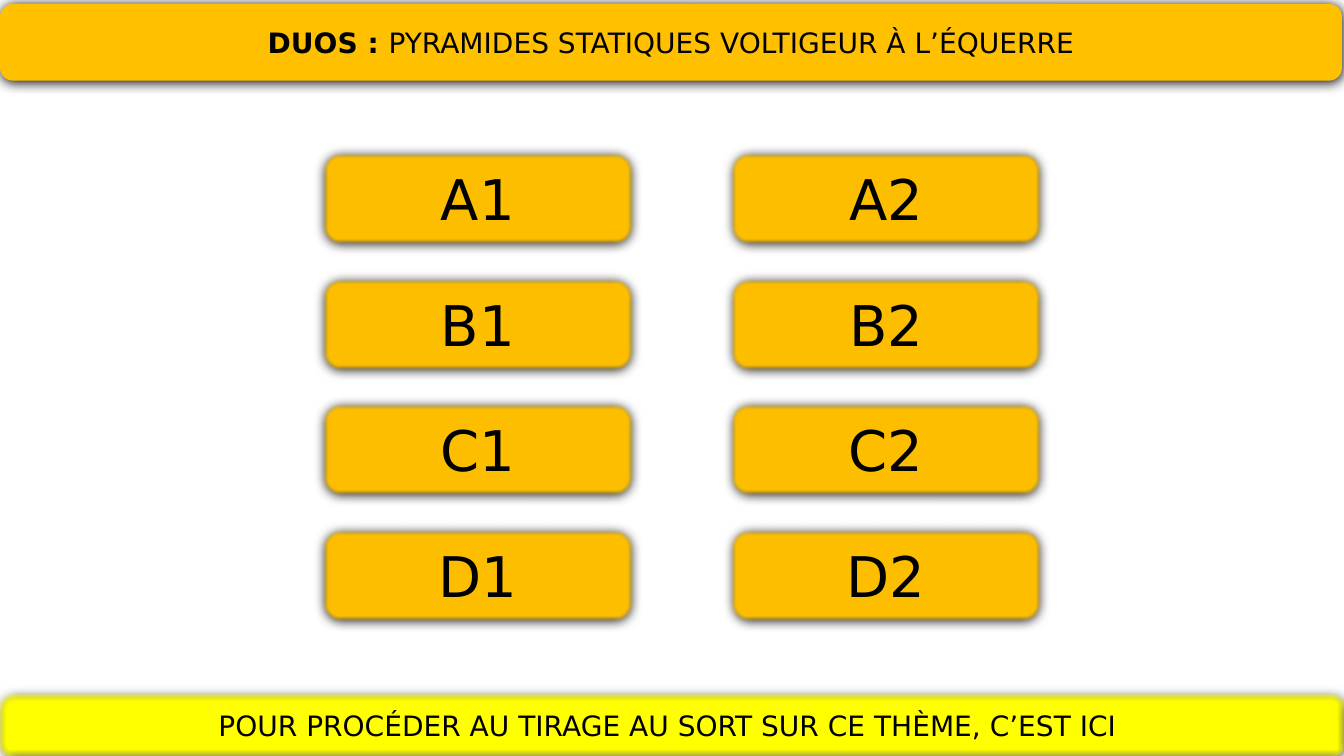
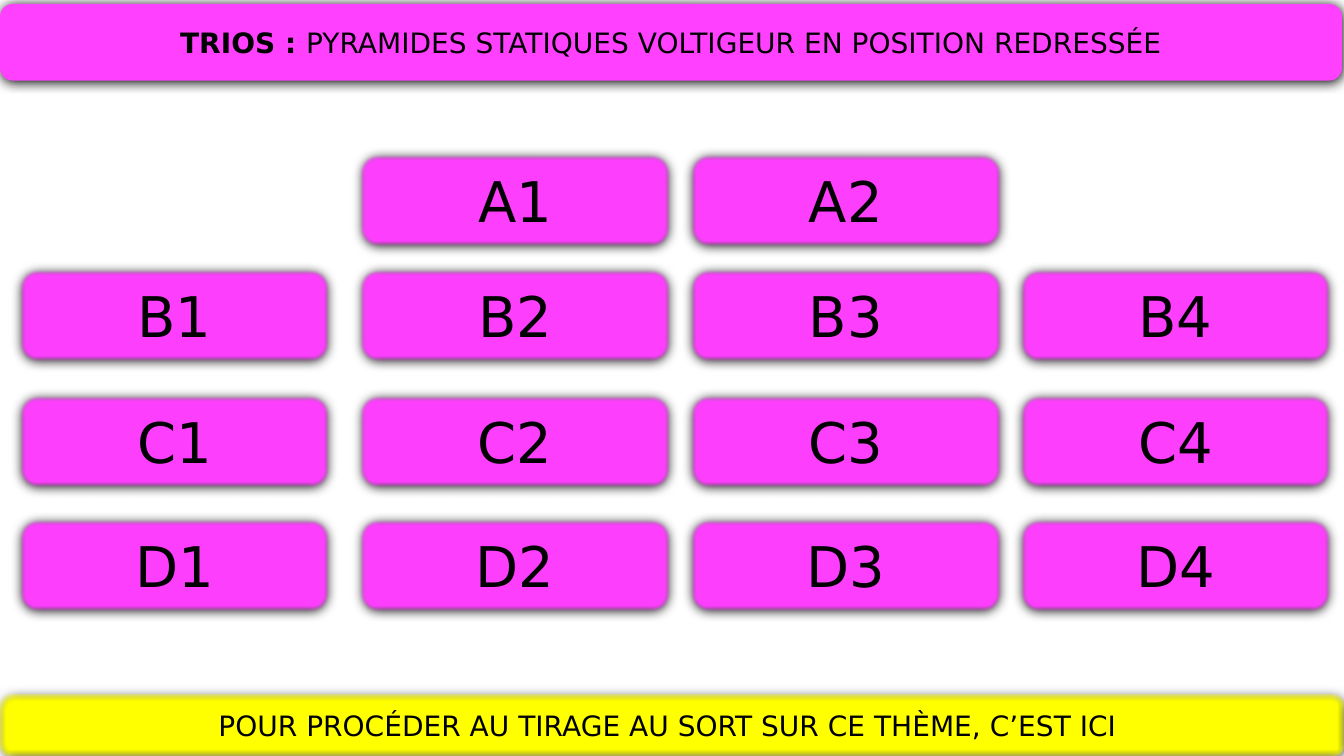
"""Builds two pyramid menus, each a title bar, a grid of cards and a draw bar."""
import dataclasses

import lxml.etree
import pptx
import pptx.dml.color
import pptx.enum.shapes
import pptx.enum.text
import pptx.oxml
import pptx.oxml.ns
import pptx.util


@dataclasses.dataclass(frozen=True)
class Theme:
    font: str = "DejaVu Sans"
    ink: str = "000000"
    duos: str = "FFC000"
    trios: str = "FF40FF"
    draw: str = "FFFF00"
    bar_size: int = 20
    card_size: int = 40
    shadow_blur: float = 8.5
    shadow_distance: float = 1
    soft_edge: float = 2.5
    outline: float = 0.75


THEME = Theme()
WIDTH, HEIGHT = 13.33, 7.5
CARD_WIDTH, CARD_HEIGHT = 3.08, 0.92
TITLE_BOX = (0, 0.04, 13.31, 0.76)
DRAW_HEIGHT = 0.61
DRAW_BOX = (0, HEIGHT - DRAW_HEIGHT, WIDTH, DRAW_HEIGHT)
DRAW_TEXT = "POUR PROCÉDER AU TIRAGE AU SORT SUR CE THÈME, C’EST ICI "

MENUS = [
    {
        "group": "DUOS : ",
        "topic": "PYRAMIDES STATIQUES VOLTIGEUR À L’ÉQUERRE",
        "color": THEME.duos,
        "columns": (3.2, 7.25),
        "rows": (1.51, 2.76, 4, 5.25),
        "cards": [("A1", "A2"), ("B1", "B2"), ("C1", "C2"), ("D1", "D2")],
    },
    {
        "group": "TRIOS : ",
        "topic": "PYRAMIDES STATIQUES VOLTIGEUR EN POSITION REDRESSÉE",
        "color": THEME.trios,
        "columns": (0.19, 3.57, 6.85, 10.12),
        "rows": (1.53, 2.67, 3.92, 5.15),
        "cards": [
            (None, "A1", "A2", None),
            ("B1", "B2", "B3", "B4"),
            ("C1", "C2", "C3", "C4"),
            ("D1", "D2", "D3", "D4"),
        ],
    },
]


def rgb(color):
    return pptx.dml.color.RGBColor.from_string(color)


def xml(markup):
    declared = markup.replace(" ", f" {pptx.oxml.ns.nsdecls('a')} ", 1)
    return pptx.oxml.parse_xml(declared)


def add_text(paragraph, text, size, bold=False, outlined=False):
    run = paragraph.add_run()
    run.text = text
    run.font.name = THEME.font
    run.font.size = pptx.util.Pt(size)
    run.font.bold = bold
    run.font.color.rgb = rgb(THEME.ink)
    if outlined:
        run.font._element.insert(0, xml(
            f'<a:ln w="{pptx.util.Pt(THEME.outline)}"><a:solidFill>'
            f'<a:srgbClr val="{THEME.ink}"/></a:solidFill></a:ln>'))


def add_panel(slide, box, color, soft=True):
    panel = slide.shapes.add_shape(
        pptx.enum.shapes.MSO_SHAPE.ROUNDED_RECTANGLE,
        *(pptx.util.Inches(length) for length in box))
    panel.fill.solid()
    panel.fill.fore_color.rgb = rgb(color)
    panel.line.fill.background()
    panel.shadow.inherit = False
    effects = panel._element.spPr.find(pptx.oxml.ns.qn("a:effectLst"))
    effects.append(xml(
        f'<a:outerShdw blurRad="{pptx.util.Pt(THEME.shadow_blur)}" '
        f'dist="{pptx.util.Pt(THEME.shadow_distance)}" dir="5400000" '
        f'rotWithShape="0"><a:srgbClr val="{THEME.ink}"/></a:outerShdw>'))
    if soft:
        effects.append(xml(f'<a:softEdge rad="{pptx.util.Pt(THEME.soft_edge)}"/>'))
    frame = panel.text_frame
    frame.word_wrap = True
    frame.vertical_anchor = pptx.enum.text.MSO_ANCHOR.MIDDLE
    paragraph = frame.paragraphs[0]
    paragraph.alignment = pptx.enum.text.PP_ALIGN.CENTER
    return paragraph


def add_menu(deck, menu):
    slide = deck.slides.add_slide(deck.slide_layouts[6])
    title = add_panel(slide, TITLE_BOX, menu["color"], soft=False)
    add_text(title, menu["group"], THEME.bar_size, bold=True, outlined=True)
    add_text(title, menu["topic"], THEME.bar_size)
    for top, labels in zip(menu["rows"], menu["cards"]):
        for left, label in zip(menu["columns"], labels):
            if label:
                card = add_panel(slide, (left, top, CARD_WIDTH, CARD_HEIGHT), menu["color"])
                add_text(card, label, THEME.card_size)
    add_text(add_panel(slide, DRAW_BOX, THEME.draw), DRAW_TEXT, THEME.bar_size)


def main():
    deck = pptx.Presentation()
    deck.slide_width = pptx.util.Inches(WIDTH)
    deck.slide_height = pptx.util.Inches(HEIGHT)
    for menu in MENUS:
        add_menu(deck, menu)
    deck.save("out.pptx")


if __name__ == "__main__":
    main()
